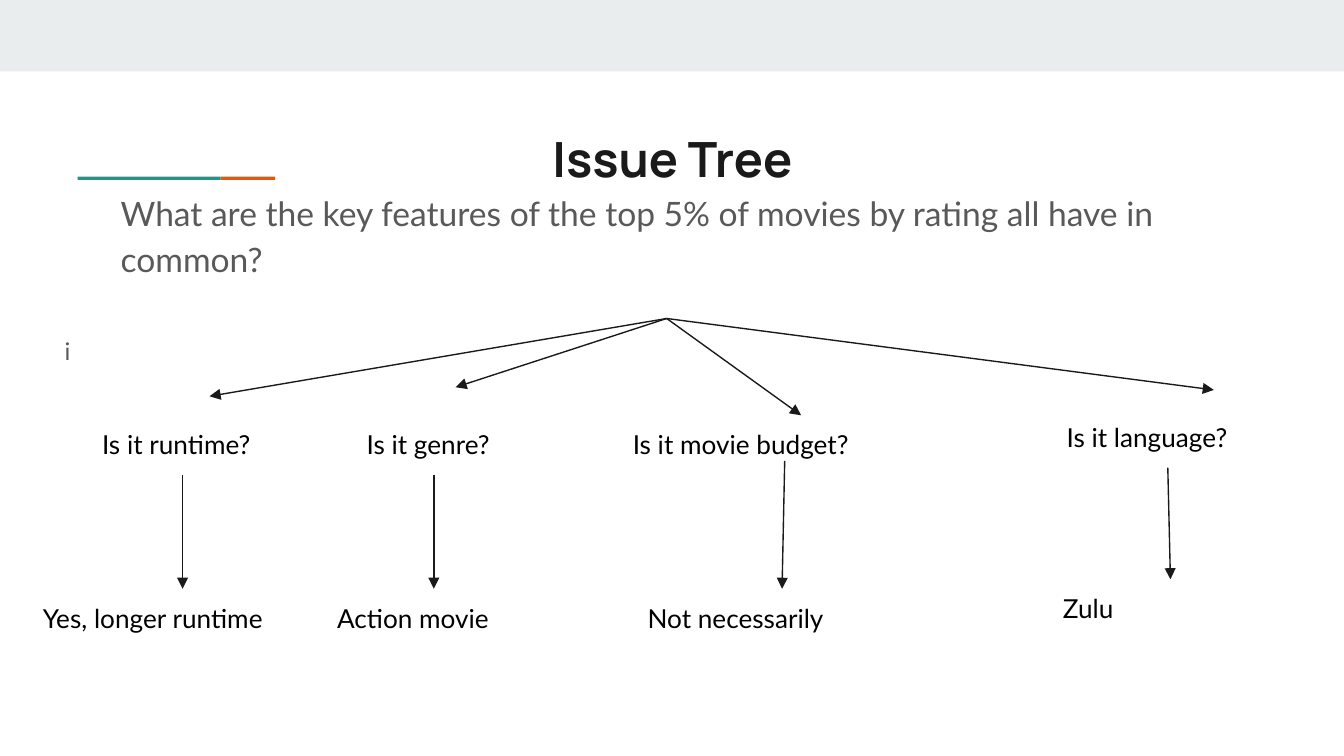
from lxml.etree import SubElement
from pptx import Presentation
from pptx.dml.color import RGBColor
from pptx.enum.shapes import MSO_CONNECTOR as Connector, MSO_SHAPE as Shape
from pptx.enum.text import MSO_ANCHOR as Anchor, MSO_AUTO_SIZE as AutoSize, PP_ALIGN as Align
from pptx.oxml.ns import qn
from pptx.util import Cm, Pt

INK = RGBColor(0x1A, 0x1A, 0x1A)
GREY = RGBColor(0x59, 0x59, 0x59)
BLACK = RGBColor(0, 0, 0)
BAND = RGBColor(0xE9, 0xED, 0xEE)
TEAL = RGBColor(0x1A, 0x99, 0x88)
ORANGE = RGBColor(0xEB, 0x56, 0x00)

TITLE_FONT = "Manrope"
TEXT_FONT = "Lato"

ROOT = (12.6, 6.02)
LABEL_HEIGHT = 1.12

# Per branch: tip of the arrow from the root, question and answer with
# (left, top, width), then both ends of the arrow between them, in cm.
BRANCHES = [
    ((3.96, 7.49), "Is it runtime?", (1.68, 7.85, 3.56),
     "Yes, longer runtime", (0.56, 11.13, 5.77), (3.45, 8.97), (3.45, 11.13)),
    ((8.61, 7.32), "Is it genre?", (6.68, 7.85, 3.05),
     "Action movie", (6.12, 11.13, 4.17), (8.2, 8.97), (8.2, 11.13)),
    ((15.14, 7.85), "Is it movie budget?", (11.71, 7.85, 4.85),
     "Not necessarily", (11.99, 11.13, 4.57), (14.83, 8.71), (14.78, 11.13)),
    ((22.94, 7.37), "Is it language?", (19.91, 7.72, 4.34),
     "Zulu", (19.84, 10.95, 4.57), (22.07, 8.84), (22.12, 10.95)),
]


class TreeSlide:
    def __init__(self, slide):
        self.slide = slide
        self.shapes = slide.shapes

    def bar(self, left, top, width, height, color):
        bar = self.shapes.add_shape(Shape.RECTANGLE, Cm(left), Cm(top), Cm(width), Cm(height))
        bar.shadow.inherit = False
        bar.fill.solid()
        bar.fill.fore_color.rgb = color
        bar.line.fill.background()

    def frame(self, shape, auto_size=AutoSize.NONE):
        """Prepare a shape's text frame with equal insets, set from the top."""
        frame = shape.text_frame
        frame.word_wrap = True
        frame.auto_size = auto_size
        frame.vertical_anchor = Anchor.TOP
        frame.margin_left = frame.margin_right = Cm(0.25)
        frame.margin_top = frame.margin_bottom = Cm(0.25)
        return frame

    def placeholder(self, index, left, top, width, height):
        """Move a template placeholder and return its text frame."""
        holder = self.slide.placeholders[index]
        holder.left, holder.top = Cm(left), Cm(top)
        holder.width, holder.height = Cm(width), Cm(height)
        return self.frame(holder)

    def add_text(self, paragraph, text, size, color, font=TEXT_FONT, bold=False,
                 align=Align.LEFT, spacing=1.0, after=0):
        paragraph.alignment = align
        paragraph.line_spacing = spacing
        paragraph.space_before = Pt(0)
        paragraph.space_after = Pt(after)
        run = paragraph.add_run()
        run.text = text
        run.font.name = font
        run.font.size = Pt(size)
        run.font.bold = bold
        run.font.color.rgb = color

    def unbullet(self, paragraph):
        properties = paragraph._p.get_or_add_pPr()
        properties.set("marL", "0")
        properties.set("indent", "0")
        SubElement(properties, qn("a:buNone"))

    def label(self, text, place):
        left, top, width = place
        box = self.shapes.add_textbox(Cm(left), Cm(top), Cm(width), Cm(LABEL_HEIGHT))
        frame = self.frame(box, AutoSize.SHAPE_TO_FIT_TEXT)
        self.add_text(frame.paragraphs[0], text, 14, BLACK)

    def arrow(self, start, end):
        arrow = self.shapes.add_connector(
            Connector.STRAIGHT, *(Cm(value) for value in (*start, *end)))
        arrow.line.color.rgb = INK
        arrow.line.width = Pt(0.75)
        properties = arrow._element.spPr
        SubElement(properties.find(qn("a:ln")), qn("a:tailEnd"), type="triangle")
        SubElement(properties, qn("a:effectLst"))


def main():
    deck = Presentation()
    deck.slide_width, deck.slide_height = Cm(25.4), Cm(14.29)
    tree = TreeSlide(deck.slides.add_slide(deck.slide_layouts[1]))

    tree.bar(0, 0, 25.4, 1.35, BAND)
    tree.bar(1.47, 3.34, 2.7, 0.06, TEAL)
    tree.bar(4.17, 3.34, 1.03, 0.06, ORANGE)

    heading = tree.placeholder(0, 2.03, 1.63, 21.36, 4.8)
    tree.add_text(heading.paragraphs[0], "Issue Tree", 26, INK, TITLE_FONT,
                  bold=True, align=Align.CENTER, spacing=1.5)
    tree.add_text(heading.add_paragraph(),
                  "What are the key features of the top 5% of movies by rating all have in common?",
                  18, GREY, spacing=1.15, after=12)

    body = tree.placeholder(1, 0.97, 6.02, 23.29, 7.65)
    tree.add_text(body.paragraphs[0], "i", 13, GREY, spacing=1.15, after=12)
    tree.unbullet(body.paragraphs[0])

    for tip, question, question_place, answer, answer_place, start, end in BRANCHES:
        tree.arrow(ROOT, tip)
        tree.label(question, question_place)
        tree.arrow(start, end)
        tree.label(answer, answer_place)

    deck.save("out.pptx")


if __name__ == "__main__":
    main()
